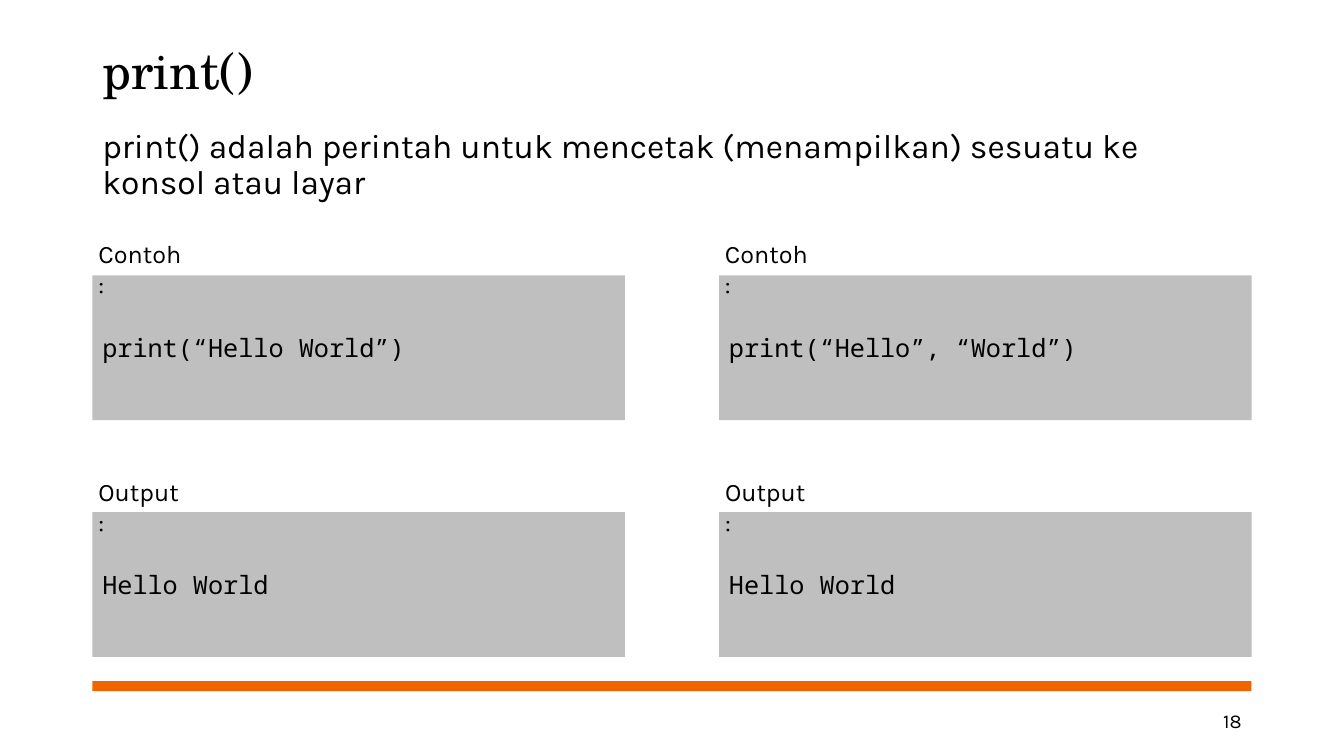
"""Build the print() slide: a definition and two code examples with their output."""
import pptx
import pptx.dml.color
import pptx.enum.shapes
import pptx.enum.text
import pptx.util

Pt = pptx.util.Pt
ALIGN = pptx.enum.text.PP_ALIGN
ANCHOR = pptx.enum.text.MSO_ANCHOR
FIT = pptx.enum.text.MSO_AUTO_SIZE.SHAPE_TO_FIT_TEXT
RECTANGLE = pptx.enum.shapes.MSO_SHAPE.RECTANGLE

THEME = {
    "ink": pptx.dml.color.RGBColor.from_string("000000"),
    "panel": pptx.dml.color.RGBColor.from_string("BFBFBF"),
    "accent": pptx.dml.color.RGBColor.from_string("F06400"),
    "title": {"name": "TeX Gyre Schola", "size": Pt(36)},
    "body": {"name": "Karla", "size": Pt(24)},
    "label": {"name": "Karla", "size": Pt(18)},
    "number": {"name": "Karla", "size": Pt(14)},
    "code": {"name": "Noto Sans Mono", "size": Pt(18)},
}

deck = pptx.Presentation()
deck.slide_width, deck.slide_height = Pt(960), Pt(540)
slide = deck.slides.add_slide(deck.slide_layouts[6])


def write(shape, text, style, frame_format, paragraph_format):
    """Fill a shape with one paragraph in a theme style."""
    frame = shape.text_frame
    frame.text = text
    paragraph = frame.paragraphs[0]
    font_format = {**THEME[style]}
    for target, values in (
        (frame, frame_format),
        (paragraph, paragraph_format),
        (paragraph.font, font_format),
    ):
        for key, value in values.items():
            setattr(target, key, value)
    paragraph.font.color.rgb = THEME["ink"]


def add_block(left, top, width, height, color):
    """Add a plain filled rectangle."""
    block = slide.shapes.add_shape(RECTANGLE, Pt(left), Pt(top), Pt(width), Pt(height))
    block.shadow.inherit = False
    block.fill.solid()
    block.fill.fore_color.rgb = color
    block.line.fill.background()
    return block


MARGIN, CONTENT_WIDTH = 66, 828
add_block(MARGIN, 486.6, CONTENT_WIDTH, 7.2, THEME["accent"])

definition = "print() adalah perintah untuk mencetak (menampilkan) sesuatu ke konsol atau layar"
for text, style, left, top, width, height, anchor, paragraph_format in (
    ("print()", "title", MARGIN, 17.3, CONTENT_WIDTH, 70.6, ANCHOR.MIDDLE, {"line_spacing": 0.9}),
    (definition, "body", MARGIN, 88.6, CONTENT_WIDTH, 398, ANCHOR.TOP, {"line_spacing": 0.9}),
    ("18", "number", 678, 500.4, 216, 28.8, ANCHOR.MIDDLE, {"alignment": ALIGN.RIGHT}),
):
    box = slide.shapes.add_textbox(Pt(left), Pt(top), Pt(width), Pt(height))
    write(box, text, style, {"word_wrap": True, "vertical_anchor": anchor}, paragraph_format)

PANEL_WIDTH, PANEL_HEIGHT = 380.4, 103.4
COLUMN_STEP = CONTENT_WIDTH - PANEL_WIDTH
LABEL_OUTDENT = 2.8
rows = (("Contoh:", 77, 167, 196.8), ("Output:", 75.6, 337, 365.8))
examples = (
    ("print(“Hello World”)", "Hello World"),
    ("print(“Hello”, “World”)", "Hello World"),
)
for column, example in enumerate(examples):
    left = MARGIN + column * COLUMN_STEP
    for code, (label, label_width, label_top, panel_top) in zip(example, rows):
        panel = add_block(left, panel_top, PANEL_WIDTH, PANEL_HEIGHT, THEME["panel"])
        write(panel, code, "code", {"word_wrap": True, "vertical_anchor": ANCHOR.MIDDLE},
              {"alignment": ALIGN.LEFT})
        caption = slide.shapes.add_textbox(
            Pt(left - LABEL_OUTDENT), Pt(label_top), Pt(label_width), Pt(28.8))
        write(caption, label, "label", {"word_wrap": False, "auto_size": FIT},
              {"alignment": ALIGN.LEFT})

deck.save("out.pptx")
